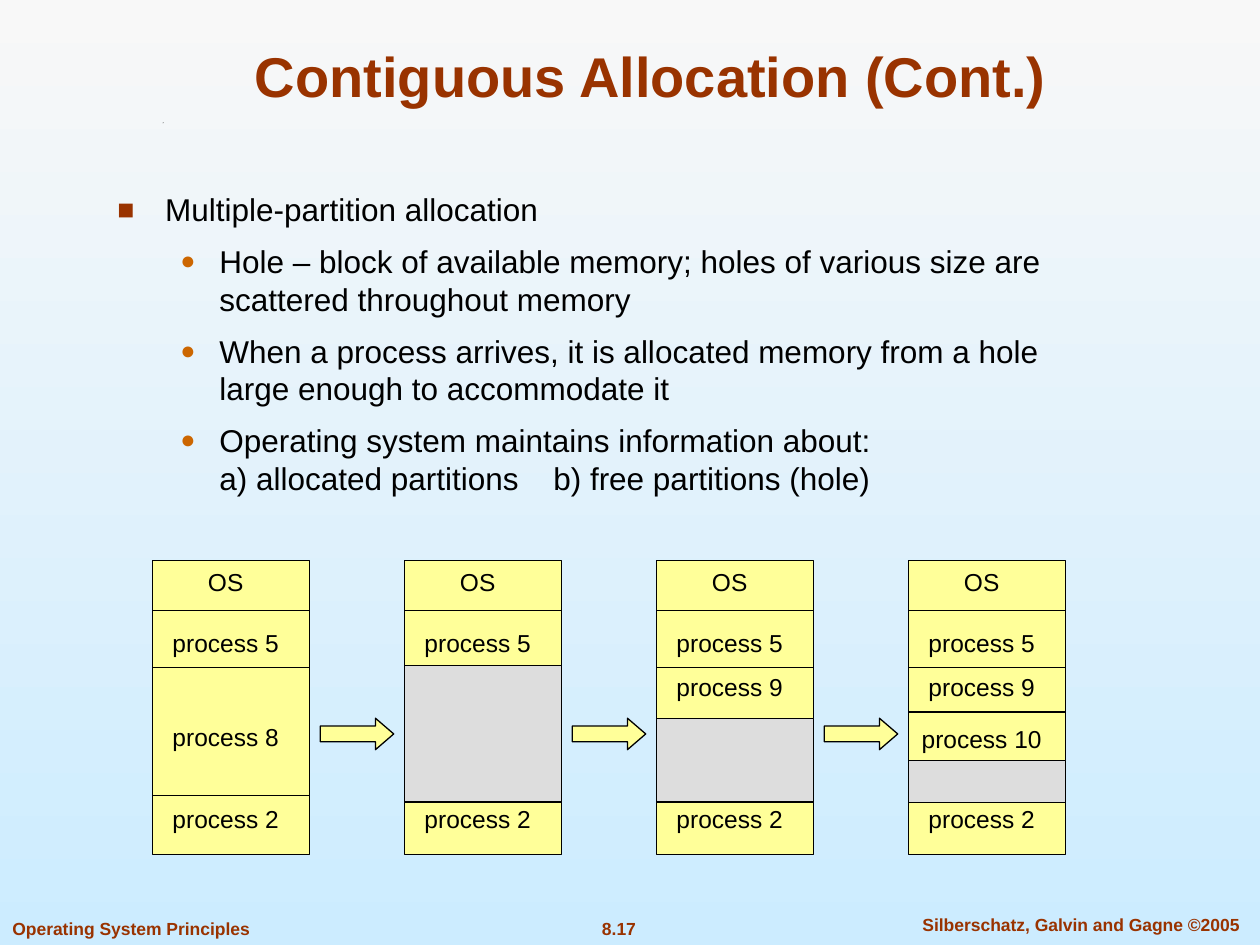
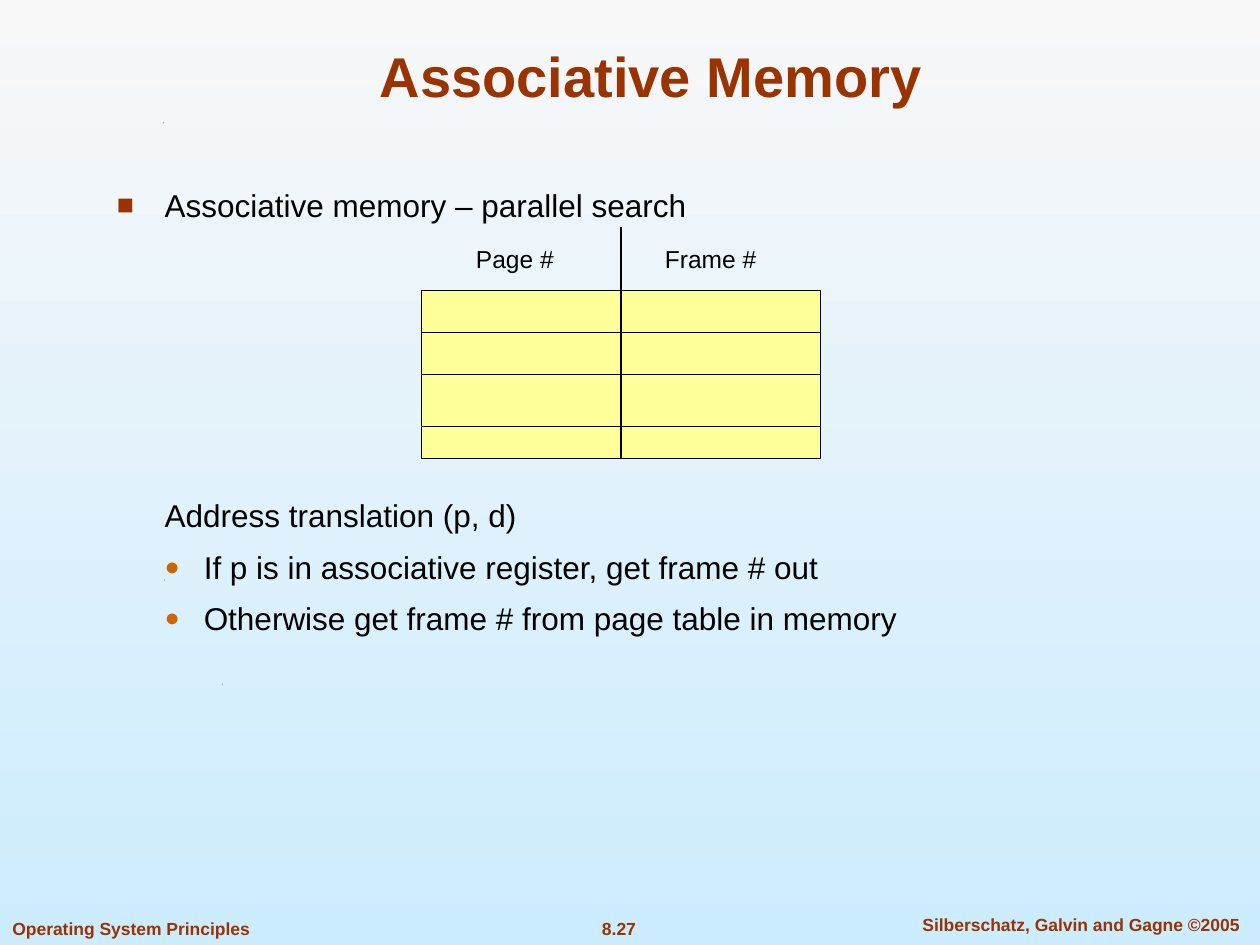
from dataclasses import dataclass

from lxml.etree import SubElement
from pptx import Presentation
from pptx.dml.color import RGBColor
from pptx.enum.shapes import MSO_CONNECTOR, MSO_SHAPE
from pptx.enum.text import MSO_ANCHOR, PP_ALIGN
from pptx.oxml.ns import qn
from pptx.util import Inches, Pt

UNIT = Inches(1) / 12  # grid step: the slide is 120 columns by 90 rows
TITLE_ONLY = 5


@dataclass(frozen=True)
class Theme:
    font: str = "Arial"
    brand: str = "993300"
    accent: str = "CC6600"
    ink: str = "000000"
    used: str = "FFFF99"
    free: str = "DDDDDD"
    sky: tuple = ("F8F8F8", "CCECFF")
    title_size: float = 32
    body_size: float = 18
    label_size: float = 14
    footer_size: float = 10
    body_gap: float = 7.9
    line_width: float = 0.75


THEME = Theme()


@dataclass(frozen=True)
class Box:
    """Area in grid columns and rows."""
    left: float
    top: float
    width: float
    height: float

    def inside(self, left, top, width, height):
        return Box(self.left + left, self.top + top, width, height)

    def emu(self):
        return [grid(value) for value in (self.left, self.top, self.width, self.height)]


@dataclass(frozen=True)
class Level:
    """Indents in inches, with an optional bullet."""
    margin: float
    hanging: float = 0
    bullet: str = ""
    color: str = ""
    percent: int = 100


TOPIC = Level(0.38, 0.38, "■", THEME.brand, 90)
POINT = Level(0.81, 0.31, "●", THEME.accent, 80)
NEAR_POINT = Level(0.69, 0.31, "●", THEME.accent, 80)
PLAIN = Level(0.38)

TITLE_BOX = Box(9, 3, 106, 8)
TITLE_SPECK = (15.48, 11.64)
REGISTER_SPECKS = [(21.12, 65.1), (15.6, 55.2), (67.8, 55.2)]
FIRST_MEMORY = Box(14.5, 53.4, 15, 28)
MEMORY_STEP = 24
MEMORY_DIVIDERS = (4.75, 10.2, 22.35)
FIXED_LABELS = {"OS": 2, "process 5": 7.8, "process 2": 24.6}

# Per stage: label centres, extra dividers, and top and height of the hole, in rows.
MEMORY_STAGES = [
    ({"process 8": 16.8}, (), None),
    ({}, (), (10, 13)),
    ({"process 9": 12}, (), (15, 8)),
    ({"process 9": 12, "process 10": 16.95}, (14.4,), (19, 4)),
]


def grid(value):
    return round(value * UNIT)


def rgb(color):
    return RGBColor.from_string(color)


def style_font(paragraph, size, color=THEME.ink, bold=False):
    font = paragraph.font
    font.name, font.size, font.bold = THEME.font, Pt(size), bold
    font.color.rgb = rgb(color)


def add_text(slide, box, text, size, color=THEME.ink, bold=False,
             align=PP_ALIGN.CENTER):
    frame = slide.shapes.add_textbox(*box.emu()).text_frame
    frame.word_wrap = True
    frame.vertical_anchor = MSO_ANCHOR.MIDDLE
    paragraph = frame.paragraphs[0]
    paragraph.text, paragraph.alignment = text, align
    style_font(paragraph, size, color, bold)


def add_block(slide, box, fill=THEME.used, kind=MSO_SHAPE.RECTANGLE):
    shape = slide.shapes.add_shape(kind, *box.emu())
    shape.shadow.inherit = False
    shape.fill.solid()
    shape.fill.fore_color.rgb = rgb(fill)
    shape.line.color.rgb = rgb(THEME.ink)
    shape.line.width = Pt(THEME.line_width)
    return shape


def add_line(slide, *ends):
    line = slide.shapes.add_connector(MSO_CONNECTOR.STRAIGHT, *map(grid, ends))
    line.line.color.rgb = rgb(THEME.ink)
    line.line.width = Pt(THEME.line_width)
    SubElement(line._element.spPr, qn("a:effectLst"))


def add_dividers(slide, box, rows):
    for row in rows:
        y = box.top + row
        add_line(slide, box.left, y, box.left + box.width, y)


def add_speck(slide, column, row, size=0.08):
    """Draw a tiny triangular ornament."""
    builder = slide.shapes.build_freeform(grid(column), grid(row + size))
    builder.add_line_segments([(grid(column + size), grid(row)),
                               (grid(column + size), grid(row + size))])
    speck = builder.convert_to_shape()
    speck.shadow.inherit = False
    speck.fill.solid()
    speck.fill.fore_color.rgb = rgb(THEME.ink)
    speck.line.fill.background()


def format_level(paragraph, level, tab_stop=None):
    properties = paragraph._p.get_or_add_pPr()
    properties.set("marL", str(Inches(level.margin)))
    properties.set("indent", str(-Inches(level.hanging)))
    if level.bullet:
        color = SubElement(properties, qn("a:buClr"))
        SubElement(color, qn("a:srgbClr"), val=level.color)
        SubElement(properties, qn("a:buSzPct"), val=str(level.percent * 1000))
        SubElement(properties, qn("a:buFont"), typeface=THEME.font)
        SubElement(properties, qn("a:buChar"), char=level.bullet)
    if tab_stop:
        tabs = SubElement(properties, qn("a:tabLst"))
        SubElement(tabs, qn("a:tab"), pos=str(Inches(tab_stop)), algn="l")


def add_body(slide, box, items, tab_stop=None):
    """Write (level, text, space before in points) items as paragraphs."""
    frame = slide.shapes.add_textbox(*box.emu()).text_frame
    frame.word_wrap = True
    for index, (level, text, gap) in enumerate(items):
        paragraph = frame.add_paragraph() if index else frame.paragraphs[0]
        paragraph.text = text
        paragraph.space_before = Pt(gap)
        style_font(paragraph, THEME.body_size)
        format_level(paragraph, level, tab_stop if "\t" in text else None)


def add_footer(slide, box, number):
    parts = [
        (box.inside(0, 0.42, 25, 3.2), "Operating System Principles", PP_ALIGN.LEFT),
        (box.inside(53.05, 0.42, 11.8, 3.2), number, PP_ALIGN.CENTER),
        (box.inside(85.15, 0, 35.6, 3.2), "Silberschatz, Galvin and Gagne ©2005",
         PP_ALIGN.CENTER),
    ]
    for part, text, align in parts:
        add_text(slide, part, text, THEME.footer_size, THEME.brand, True, align)


def add_titled_slide(presentation, title, number):
    slide = presentation.slides.add_slide(presentation.slide_layouts[TITLE_ONLY])
    shape = slide.shapes.title
    shape.left, shape.top, shape.width, shape.height = TITLE_BOX.emu()
    shape.text_frame.text = title
    shape.text_frame.vertical_anchor = MSO_ANCHOR.BOTTOM
    paragraph = shape.text_frame.paragraphs[0]
    paragraph.alignment = PP_ALIGN.CENTER
    style_font(paragraph, THEME.title_size, THEME.brand, True)
    add_speck(slide, *TITLE_SPECK)
    add_footer(slide, Box(0, 86.4, 120, 3.6), number)
    return slide


def add_memory(slide, box, labels, dividers, hole):
    add_block(slide, box)
    add_dividers(slide, box, MEMORY_DIVIDERS + dividers)
    if hole:
        top, height = hole
        add_block(slide, box.inside(0, top, box.width, height), THEME.free)
    for text, centre in (FIXED_LABELS | labels).items():
        add_text(slide, box.inside(0, centre - 2, 14, 4), text, THEME.label_size)


def add_memory_stages(slide, first):
    for index, stage in enumerate(MEMORY_STAGES):
        box = first.inside(index * MEMORY_STEP, 0, first.width, first.height)
        add_memory(slide, box, *stage)
        if index < len(MEMORY_STAGES) - 1:
            arrow = add_block(slide, box.inside(box.width + 1, 15, 7, 3),
                              kind=MSO_SHAPE.RIGHT_ARROW)
            arrow.adjustments[1] = 0.58


def add_associative_registers(slide, box):
    add_block(slide, box)
    middle = box.left + box.width / 2
    add_line(slide, middle, box.top - 6, middle, box.top + box.height)
    add_dividers(slide, box, (4, 8, 13))
    for left, text in ((4, "Page #"), (22, "Frame #")):
        add_text(slide, box.inside(left, -5, 17, 4), text, THEME.label_size,
                 align=PP_ALIGN.LEFT)


def build_allocation_slide(presentation):
    slide = add_titled_slide(presentation, "Contiguous Allocation (Cont.)", "8.17")
    gap = THEME.body_gap
    add_body(slide, Box(10, 17.55, 96.5, 34.2), [
        (TOPIC, "Multiple-partition allocation", gap),
        (POINT, "Hole – block of available memory; holes of various size are "
                "scattered throughout memory", gap),
        (POINT, "When a process arrives, it is allocated memory from a hole "
                "large enough to accommodate it", gap),
        (POINT, "Operating system maintains information about:\v"
                "a) allocated partitions\tb) free partitions (hole)", gap),
    ], tab_stop=3.46)
    add_memory_stages(slide, FIRST_MEMORY)


def build_associative_slide(presentation):
    slide = add_titled_slide(presentation, "Associative Memory", "8.27")
    for speck in REGISTER_SPECKS:
        add_speck(slide, *speck)
    gap = THEME.body_gap
    add_body(slide, Box(9.95, 17.12, 96.5, 58.8), [
        (TOPIC, "Associative memory – parallel search", gap),
        (PLAIN, "Address translation (p, d)", 155.5),
        (NEAR_POINT, "If p is in associative register, get frame # out", gap),
        (NEAR_POINT, "Otherwise get frame # from page table in memory", gap),
    ])
    add_associative_registers(slide, Box(40.15, 27.64, 38, 16))


def paint_background(master):
    fill = master.background.fill
    fill.gradient()
    fill.gradient_angle = 270
    for stop, color in zip(fill.gradient_stops, THEME.sky):
        stop.color.rgb = rgb(color)


def main():
    presentation = Presentation()
    presentation.slide_width, presentation.slide_height = grid(120), grid(90)
    paint_background(presentation.slide_master)
    build_allocation_slide(presentation)
    build_associative_slide(presentation)
    presentation.save("out.pptx")


if __name__ == "__main__":
    main()
